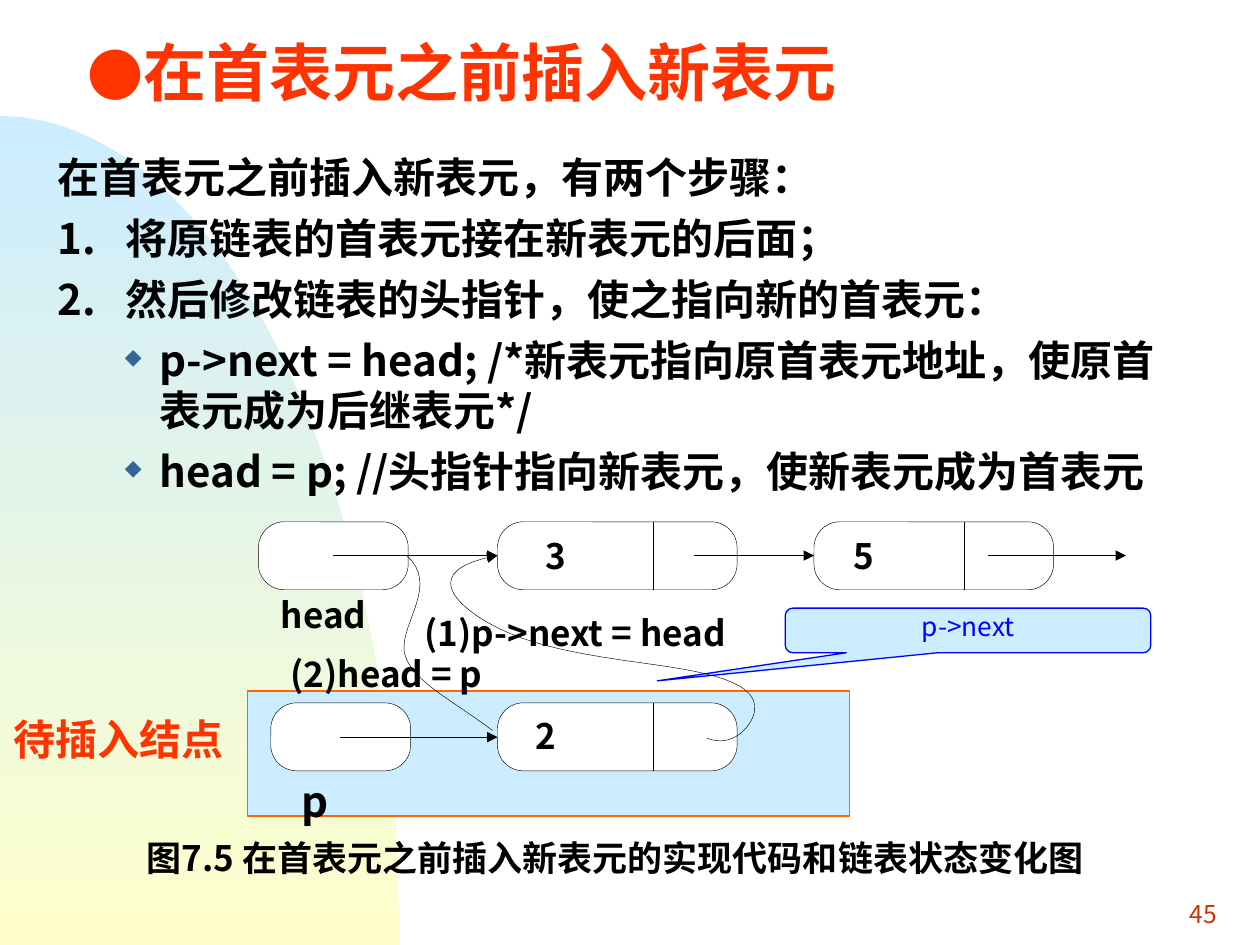
from dataclasses import dataclass
from math import cos, pi, sin
from typing import NamedTuple

from lxml.etree import SubElement
from pptx import Presentation
from pptx.dml.color import RGBColor
from pptx.enum.shapes import MSO_CONNECTOR, MSO_SHAPE
from pptx.enum.text import MSO_ANCHOR, PP_ALIGN
from pptx.oxml.ns import qn
from pptx.util import Cm, Pt


@dataclass(frozen=True)
class Theme:
    font: str = "Noto Sans CJK SC"
    black: str = "000000"
    text: str = "010000"
    white: str = "FFFFFF"
    red: str = "FF3300"
    number_red: str = "CC3300"
    orange: str = "FF6600"
    blue: str = "0000FF"
    bullet: str = "336699"
    sky: str = "CCECFF"
    cream: str = "FFFFCC"
    title_size: int = 36
    dot_size: int = 32
    body_size: int = 24
    label_size: int = 20
    callout_size: int = 15
    number_size: int = 14
    thin: float = 0.26
    medium: float = 0.74


THEME = Theme()


class Node(NamedTuple):
    left: float
    top: float
    width: float
    divider: float | None = None


class Arrow(NamedTuple):
    start: float
    end: float
    y: float


class Label(NamedTuple):
    text: str
    left: float
    top: float
    width: float
    size: int = THEME.label_size
    color: str = THEME.text


class Item(NamedTuple):
    text: str
    margin: float
    indent: float
    bullet: bool = False


NODE_HEIGHT = 1.37
TOP_ROW, LOW_ROW = 10.52, 14.17
TOP_AXIS, LOW_AXIS = 11.2, 14.86

NODES = [
    Node(5.21, TOP_ROW, 3.02),
    Node(10.03, TOP_ROW, 4.83, 13.16),
    Node(16.41, TOP_ROW, 4.83, 19.43),
    Node(5.46, LOW_ROW, 2.82),
    Node(10.03, LOW_ROW, 4.83, 13.16),
]
ARROWS = [
    Arrow(6.71, 10.03, TOP_AXIS),
    Arrow(14.0, 16.41, TOP_AXIS),
    Arrow(19.91, 22.7, TOP_AXIS),
    Arrow(6.86, 10.03, LOW_AXIS),
]
HEAD_CURVE = [(8.2, 11.2), (8.86, 11.79), (8.08, 12.55), (8.15, 13.13), (8.2, 13.46),
              (8.53, 13.74), (8.89, 14.0), (9.27, 14.27), (9.68, 14.53), (9.93, 14.73)]
NEXT_CURVE = [(14.25, 14.88), (14.76, 15.09), (15.14, 14.66), (15.21, 14.35), (15.34, 13.64),
              (13.82, 13.49), (12.55, 13.31), (11.56, 13.16), (10.69, 13.0), (9.96, 12.62),
              (9.14, 12.19), (8.46, 11.48), (10.03, 11.2)]
LABELS = [
    Label("head", 5.66, 11.96, 2.5),
    Label("3", 11.0, 10.77, 1),
    Label("5", 17.2, 10.77, 1),
    Label("2", 10.8, 14.4, 1),
    Label("p", 6.07, 15.63, 1, THEME.body_size),
    Label("(1)p->next = head", 8.56, 12.33, 6.5),
    Label("(2)head = p", 5.86, 13.16, 4.5),
    Label("待插入结点", 0.28, 14.38, 4.6, THEME.body_size, THEME.red),
    Label("图7.5 在首表元之前插入新表元的实现代码和链表状态变化图", 2.95, 16.87, 20.4),
]
ITEMS = [
    Item("在首表元之前插入新表元，有两个步骤：", 0.97, -0.97),
    Item("1.\t将原链表的首表元接在新表元的后面；", 1.37, -1.37),
    Item("2.\t然后修改链表的头指针，使之指向新的首表元：", 1.37, -1.37),
    Item("p->next = head; /*新表元指向原首表元地址，使原首表元成为后继表元*/", 2.06, -0.7, True),
    Item("head = p; //头指针指向新表元，使新表元成为首表元", 2.06, -0.7, True),
]


def set_values(target, values: dict) -> None:
    for name, value in values.items():
        setattr(target, name, value)


def add_run(paragraph, text: str, size: int, color: str, bold: bool = True) -> None:
    run = paragraph.add_run()
    run.text = text
    set_values(run.font, {"name": THEME.font, "size": Pt(size), "bold": bold})
    run.font.color.rgb = RGBColor.from_string(color)
    SubElement(run.font._element, qn("a:ea"), typeface=THEME.font)


def add_text_box(slide, left: float, top: float, width: float, height: float,
                 inset: bool = True, anchor=MSO_ANCHOR.TOP):
    frame = slide.shapes.add_textbox(Cm(left), Cm(top), Cm(width), Cm(height)).text_frame
    side, edge = (Cm(0.25), Cm(0.13)) if inset else (0, 0)
    set_values(frame, {"word_wrap": True, "vertical_anchor": anchor, "margin_left": side,
                       "margin_right": side, "margin_top": edge, "margin_bottom": edge})
    return frame


def style_shape(shape, fill: str | None, line: str | None, width: float = THEME.thin) -> None:
    shape.shadow.inherit = False
    if fill:
        shape.fill.solid()
        shape.fill.fore_color.rgb = RGBColor.from_string(fill)
    else:
        shape.fill.background()
    if line:
        shape.line.color.rgb = RGBColor.from_string(line)
        shape.line.width = Pt(width)
    else:
        shape.line.fill.background()


def add_box(slide, kind, left: float, top: float, width: float, height: float,
            fill: str, line: str, line_width: float = THEME.thin):
    shape = slide.shapes.add_shape(kind, Cm(left), Cm(top), Cm(width), Cm(height))
    style_shape(shape, fill, line, line_width)
    return shape


def add_outline(slide, points: list[tuple[float, float]], close: bool = False):
    corners = [(Cm(x), Cm(y)) for x, y in points]
    builder = slide.shapes.build_freeform(*corners[0])
    builder.add_line_segments(corners[1:], close=close)
    return builder.convert_to_shape()


def add_arrowhead(shape) -> None:
    SubElement(shape.line._get_or_add_ln(), qn("a:tailEnd"), type="triangle")


def add_line(slide, x1: float, y1: float, x2: float, y2: float):
    line = slide.shapes.add_connector(MSO_CONNECTOR.STRAIGHT, Cm(x1), Cm(y1), Cm(x2), Cm(y2))
    line.line.color.rgb = RGBColor.from_string(THEME.black)
    line.line.width = Pt(THEME.thin)
    SubElement(line._element.spPr, qn("a:effectLst"))
    return line


def add_curve(slide, controls: list[tuple[float, float]], steps: int = 16):
    """Draw chained cubic curves; each further three points make one span."""
    points = [controls[0]]
    for first in range(0, len(controls) - 1, 3):
        span = controls[first:first + 4]
        for step in range(1, steps + 1):
            t = step / steps
            weights = ((1 - t) ** 3, 3 * t * (1 - t) ** 2, 3 * t * t * (1 - t), t ** 3)
            points.append(tuple(sum(w * p[axis] for w, p in zip(weights, span))
                                for axis in (0, 1)))
    curve = add_outline(slide, points)
    style_shape(curve, None, THEME.black)
    return curve


def add_item(paragraph, item: Item) -> None:
    set_values(paragraph, {"space_before": Pt(6), "level": int(item.bullet)})
    properties = paragraph._p.get_or_add_pPr()
    properties.set("marL", str(Cm(item.margin)))
    properties.set("indent", str(Cm(item.indent)))
    if item.bullet:
        color = SubElement(properties, qn("a:buClr"))
        SubElement(color, qn("a:srgbClr"), val=THEME.bullet)
        SubElement(properties, qn("a:buSzPct"), val="52000")
        SubElement(properties, qn("a:buChar"), char="◆")
    add_run(paragraph, item.text, THEME.body_size, THEME.text)


presentation = Presentation()
set_values(presentation, {"slide_width": Cm(25.4), "slide_height": Cm(19.05)})
slide = presentation.slides.add_slide(presentation.slide_layouts[6])

# Background quarter ellipse
arc = [(8.05 * sin(pi * i / 120), 19.05 - 16.71 * cos(pi * i / 120)) for i in range(61)]
backdrop = add_outline(slide, arc + [(0, 19.05)], close=True)
style_shape(backdrop, None, None)
backdrop.fill.gradient()
backdrop.fill.gradient_angle = 270
for stop, color in zip(backdrop.fill.gradient_stops, (THEME.sky, THEME.cream)):
    stop.color.rgb = RGBColor.from_string(color)

# Slide number, title and body
number = add_text_box(slide, 19.5, 17.78, 5.28, 1.27, anchor=MSO_ANCHOR.MIDDLE).paragraphs[0]
number.alignment = PP_ALIGN.RIGHT
add_run(number, "45", THEME.number_size, THEME.number_red, bold=False)

title = add_text_box(slide, 1.52, 0.72, 17.81, 1.6, anchor=MSO_ANCHOR.MIDDLE).paragraphs[0]
title.line_spacing = 0.95
add_run(title, "●", THEME.dot_size, THEME.red)
add_run(title, "在首表元之前插入新表元", THEME.title_size, THEME.red)

body = add_text_box(slide, 0.91, 2.92, 23.06, 9.09)
for index, item in enumerate(ITEMS):
    add_item(body.add_paragraph() if index else body.paragraphs[0], item)

# Panel of the new node and callout
add_box(slide, MSO_SHAPE.RECTANGLE, 4.99, 13.93, 12.14, 2.52,
        THEME.sky, THEME.orange, THEME.medium)
callout = add_box(slide, MSO_SHAPE.ROUNDED_RECTANGULAR_CALLOUT, 15.83, 12.26, 7.37, 0.9,
                  THEME.sky, THEME.blue, THEME.medium)
for index, value in enumerate((-0.85, 1.13, 0.17)):
    callout.adjustments[index] = value
callout.text_frame.vertical_anchor = MSO_ANCHOR.TOP
callout_text = callout.text_frame.paragraphs[0]
set_values(callout_text, {"alignment": PP_ALIGN.CENTER, "line_spacing": 0.8})
add_run(callout_text, "p->next", THEME.callout_size, THEME.blue, bold=False)

# List nodes, arrows and pointer curves
for node in NODES:
    box = add_box(slide, MSO_SHAPE.ROUNDED_RECTANGLE, node.left, node.top, node.width,
                  NODE_HEIGHT, THEME.white, THEME.black)
    box.adjustments[0] = 0.38
    if node.divider:
        add_line(slide, node.divider, node.top, node.divider, node.top + NODE_HEIGHT)
for arrow in ARROWS:
    add_arrowhead(add_line(slide, arrow.start, arrow.y, arrow.end, arrow.y))
add_curve(slide, HEAD_CURVE)
add_arrowhead(add_curve(slide, NEXT_CURVE))

# Labels and caption
for label in LABELS:
    frame = add_text_box(slide, label.left, label.top, label.width, 0.84, inset=False)
    add_run(frame.paragraphs[0], label.text, label.size, label.color)

presentation.save("out.pptx")
